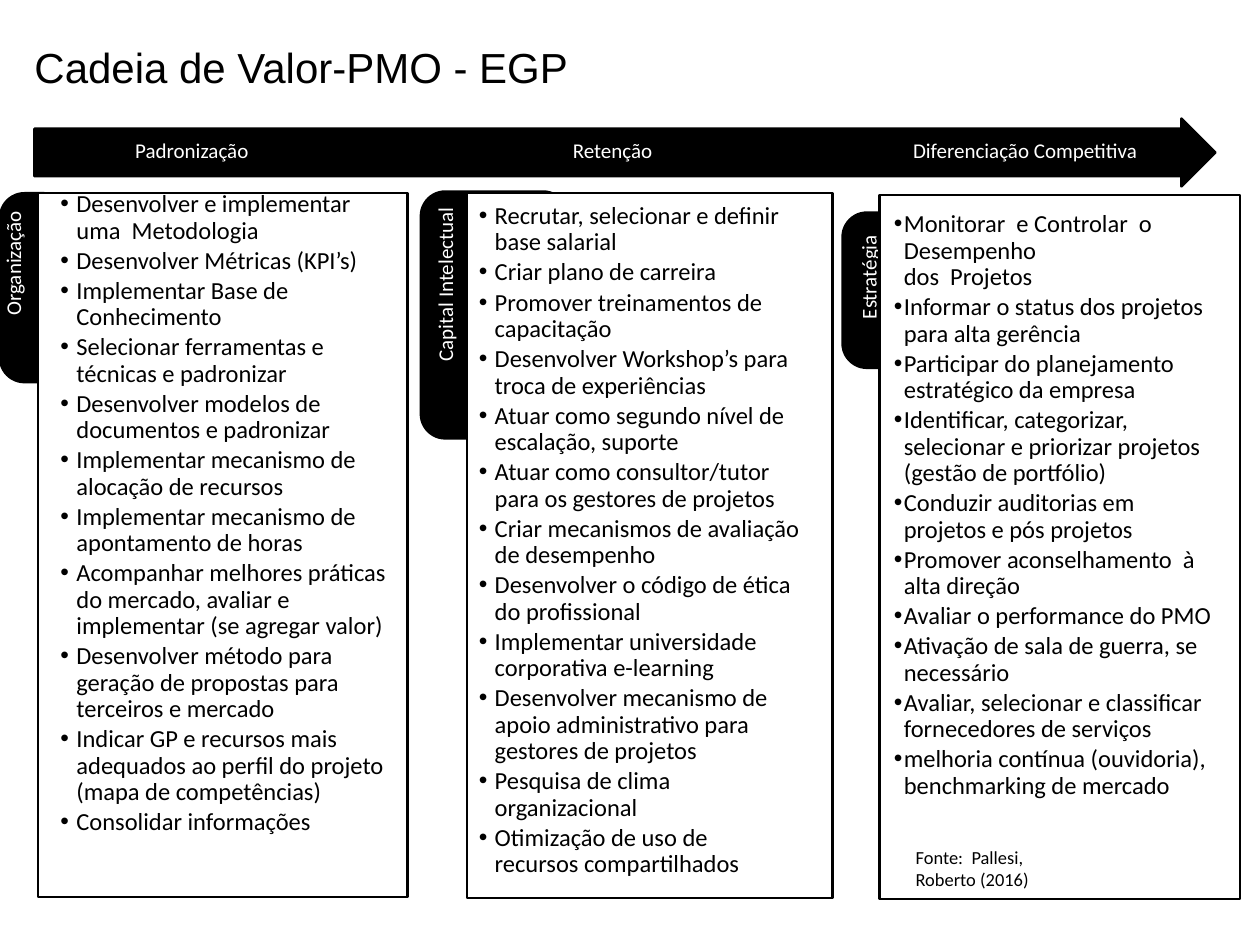
"""Builds the PMO value chain slide: a stage arrow over three columns of activities."""
from lxml.etree import SubElement
from pptx import Presentation
from pptx.dml.color import RGBColor
from pptx.enum.shapes import MSO_SHAPE
from pptx.enum.text import MSO_ANCHOR, PP_ALIGN
from pptx.oxml.ns import qn
from pptx.util import Inches, Pt

THEME = {
    "black": RGBColor(0, 0, 0),
    "white": RGBColor(255, 255, 255),
    "title": {"name": "Arial", "size": Pt(36)},
    "activity": {"name": "Calibri", "size": Pt(21)},
    "label": {"name": "Calibri", "size": Pt(18)},
    "source": {"name": "Calibri", "size": Pt(15.8)},
    "outline": Pt(2),
}
TITLE = "Cadeia de Valor-PMO - EGP"
SOURCE = "Fonte:  Pallesi, Roberto (2016)"
STAGES = ["Padronização", "Retenção", "Diferenciação Competitiva"]
STAGE_TABS = [5.21, 9.26]
COLUMNS = [
    {
        "label": "Organização",
        "label_at": (-3.41, 5.38, 7.55, 0.66),
        "tab_at": (0, 2.3, 1.75, 2.25),
        "frame_at": (0.45, 2.3, 4.4, 8.38),
        "list_at": (0.55, 1.7, 4.26, 8.59),
        "indent": 0.19,
        "activities": [
            "Desenvolver e implementar uma  Metodologia",
            "Desenvolver Métricas (KPI’s)",
            "Implementar Base de Conhecimento",
            "Selecionar ferramentas e técnicas e padronizar",
            "Desenvolver modelos de documentos e padronizar",
            "Implementar mecanismo de alocação de recursos",
            "Implementar mecanismo de apontamento de horas",
            "Acompanhar melhores práticas do mercado, avaliar e implementar (se agregar valor)",
            "Desenvolver método para geração de propostas para terceiros e mercado",
            "Indicar GP e recursos mais adequados ao perfil do projeto (mapa de competências)",
            "Consolidar informações",
        ],
    },
    {
        "label": "Capital Intelectual",
        "label_at": (1.73, 5.34, 7.56, 0.66),
        "tab_at": (5.01, 2.28, 1.75, 2.94),
        "frame_at": (5.56, 2.3, 4.35, 8.39),
        "list_at": (5.53, 1.84, 4.37, 8.88),
        "indent": 0.19,
        "activities": [
            "Recrutar, selecionar e definir base salarial",
            "Criar plano de carreira",
            "Promover treinamentos de capacitação",
            "Desenvolver Workshop’s para troca de experiências",
            "Atuar como segundo nível de escalação, suporte",
            "Atuar como consultor/tutor para os gestores de projetos",
            "Criar mecanismos de avaliação de desempenho",
            "Desenvolver o código de ética do profissional",
            "Implementar universidade corporativa e-learning",
            "Desenvolver mecanismo de apoio administrativo para gestores de projetos",
            "Pesquisa de clima organizacional",
            "Otimização de uso de\vrecursos compartilhados",
        ],
    },
    {
        "label": "Estratégia",
        "label_at": (6.77, 5.67, 7.56, 0.66),
        "tab_at": (10.03, 2.53, 1.75, 1.85),
        "frame_at": (10.47, 2.32, 4.29, 8.38),
        "list_at": (10.47, 1.94, 4.21, 8.01),
        "indent": 0.12,
        "activities": [
            "Monitorar  e Controlar  o\vDesempenho\vdos  Projetos",
            "Informar o status dos projetos para alta gerência",
            "Participar do planejamento estratégico da empresa",
            "Identificar, categorizar, selecionar e priorizar projetos (gestão de portfólio)",
            "Conduzir auditorias em projetos e pós projetos",
            "Promover aconselhamento  à alta direção",
            "Avaliar o performance do PMO",
            "Ativação de sala de guerra, se necessário",
            "Avaliar, selecionar e classificar fornecedores de serviços",
            "melhoria contínua (ouvidoria), benchmarking de mercado",
        ],
    },
]


def apply(target, values):
    for name, value in values.items():
        setattr(target, name, value)


def add_block(page, kind, at, fill, outlined=True):
    block = page.shapes.add_shape(kind, *map(Inches, at))
    block.shadow.inherit = False
    block.fill.solid()
    block.fill.fore_color.rgb = THEME[fill]
    if outlined:
        block.line.color.rgb = THEME["black"]
        block.line.width = THEME["outline"]
    else:
        block.line.fill.background()
    return block


def write(box, lines, style, color, insets, anchor=MSO_ANCHOR.TOP, indent=0, tabs=(), **layout):
    frame = box.text_frame
    sides = ("margin_left", "margin_top", "margin_right", "margin_bottom")
    apply(frame, dict(zip(sides, map(Inches, insets))))
    apply(frame, {"word_wrap": True, "vertical_anchor": anchor})
    for number, line in enumerate(lines):
        para = frame.add_paragraph() if number else frame.paragraphs[0]
        para.text = line
        apply(para, {"alignment": PP_ALIGN.LEFT, **layout})
        properties = para._p.get_or_add_pPr()
        if indent:
            properties.set("marL", str(Inches(indent)))
            properties.set("indent", str(-Inches(indent)))
            SubElement(properties, qn("a:buFont"), typeface="Arial")
            SubElement(properties, qn("a:buChar"), char="•")
        if tabs:
            stops = SubElement(properties, qn("a:tabLst"))
            for position in tabs:
                SubElement(stops, qn("a:tab"), pos=str(Inches(position)), algn="l")
        for span in para.runs:
            apply(span.font, THEME[style])
            span.font.color.rgb = THEME[color]


def add_text(page, at, lines, *style, **layout):
    box = page.shapes.add_textbox(*map(Inches, at))
    write(box, lines, *style, **layout)
    return box


def add_activities(page, column):
    add_text(page, column["list_at"], column["activities"], "activity", "black",
             (0.17, 0.58, 0.17, 0.17), indent=column["indent"],
             line_spacing=0.9, space_after=Pt(3.1))


def main():
    deck = Presentation()
    apply(deck, {"slide_width": Inches(15), "slide_height": Inches(11.25)})
    page = deck.slides.add_slide(deck.slide_layouts[6])
    first, *others = COLUMNS

    for column in reversed(COLUMNS):
        add_block(page, MSO_SHAPE.ROUNDED_RECTANGLE, column["tab_at"], "black")
    add_block(page, MSO_SHAPE.RECTANGLE, first["frame_at"], "white")
    add_activities(page, first)
    for column in COLUMNS:
        label = add_text(page, column["label_at"], [column["label"]], "label", "white",
                         (0, 0, 0.58, 0), alignment=PP_ALIGN.RIGHT, line_spacing=0.9)
        label.rotation = 270
    add_text(page, (0.26, 0.32, 11.55, 0.94), [TITLE], "title", "black",
             (0.15, 0.07, 0.15, 0.07), MSO_ANCHOR.MIDDLE)
    for column in others:
        add_block(page, MSO_SHAPE.RECTANGLE, column["frame_at"], "white")
    add_block(page, MSO_SHAPE.RECTANGLE, (5.58, 4.57, 0.14, 3.84), "white", outlined=False)
    for column in others:
        add_activities(page, column)

    arrow = add_block(page, MSO_SHAPE.RIGHT_ARROW, (0.41, 1.41, 14.06, 0.81), "black")
    arrow.adjustments[0] = 0.7
    write(arrow, ["\t".join(STAGES)], "label", "white", (1.2, 0, 0.1, 0),
          MSO_ANCHOR.MIDDLE, tabs=STAGE_TABS, line_spacing=Pt(18))
    add_text(page, (10.75, 10, 2.15, 0.55), [SOURCE], "source", "black",
             (0.15, 0.07, 0.15, 0.07))
    deck.save("out.pptx")


if __name__ == "__main__":
    main()
